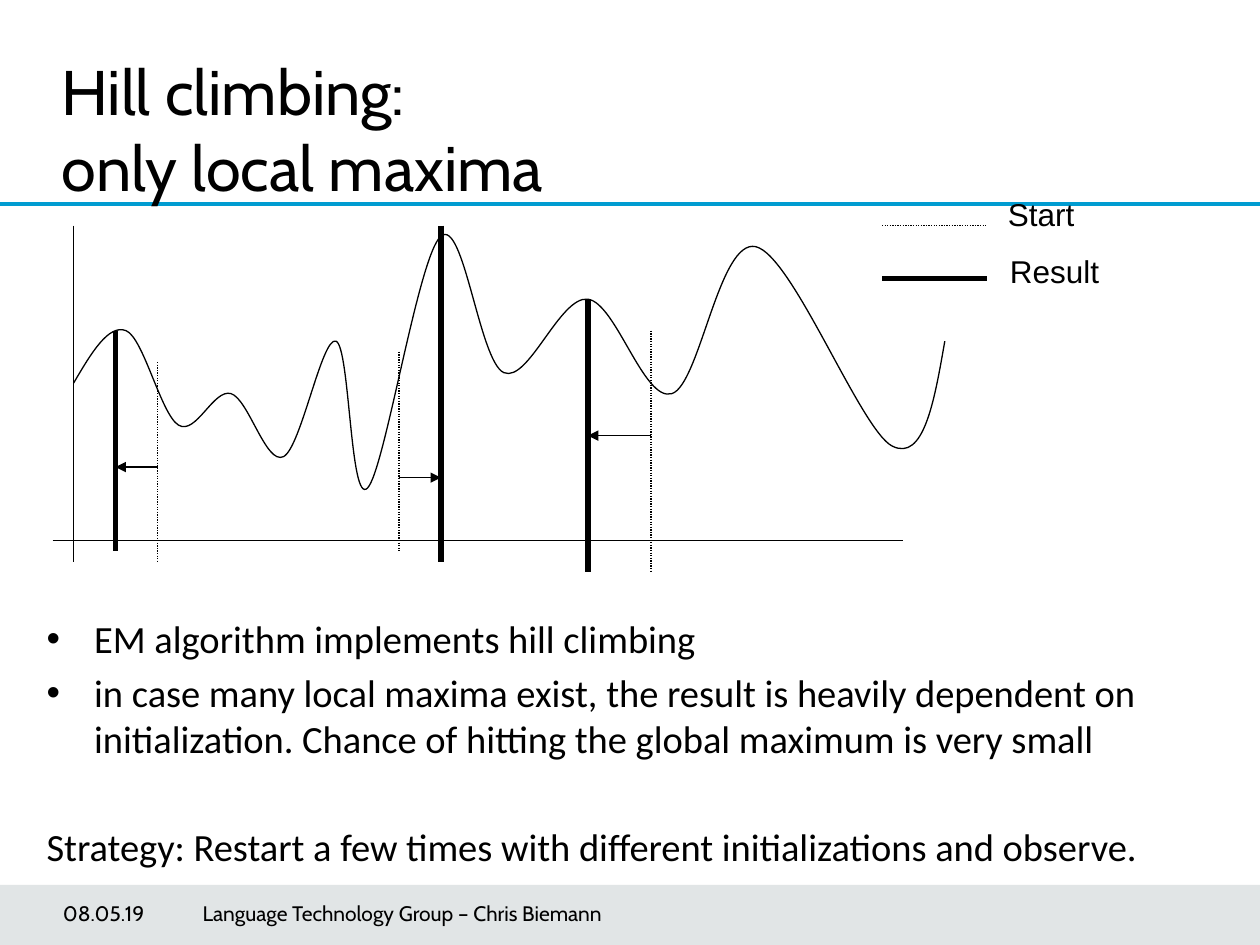
from lxml import etree
from pptx import Presentation
from pptx.dml.color import RGBColor
from pptx.enum.dml import MSO_LINE
from pptx.enum.shapes import MSO_CONNECTOR, MSO_SHAPE
from pptx.enum.text import MSO_ANCHOR
from pptx.oxml.ns import qn
from pptx.util import Cm, Pt

STRAIGHT = MSO_CONNECTOR.STRAIGHT
RECTANGLE = MSO_SHAPE.RECTANGLE
DOTTED = MSO_LINE.ROUND_DOT
TOP = MSO_ANCHOR.TOP
MIDDLE = MSO_ANCHOR.MIDDLE
BLACK = "000000"
THIN = 0.75
THICK = 3
GRID_COLUMNS = 81

CURVE_KNOTS = [
    (2, 15), (7, 10), (12, 19), (17, 16), (22, 22), (27, 11), (30, 25),
    (37, 1), (43, 14), (51, 7), (59, 16), (67, 2), (80, 21), (85, 11),
]
CLIMBS = [
    {"start": (10, 13, 32), "result": (6, 10, 31), "arrow": 23},
    {"start": (57, 10, 33), "result": (51, 7, 33), "arrow": 20},
    {"start": (33, 12, 31), "result": (37, 0, 32), "arrow": 24},
]


def color(value):
    return RGBColor.from_string(value)


def add_text(slide, box, paragraphs, font="Calibri", size=18, anchor=TOP,
             wrap=True, inset=0.25, space_before=(), bullets=0, indent=0.96):
    shape = slide.shapes.add_textbox(*[Cm(value) for value in box])
    frame = shape.text_frame
    frame.word_wrap = wrap
    frame.vertical_anchor = anchor
    frame.margin_left = Cm(inset)
    for index, text in enumerate(paragraphs):
        paragraph = frame.paragraphs[0] if index == 0 else frame.add_paragraph()
        paragraph.text = text
        for run in paragraph.runs:
            run.font.name = font
            run.font.size = Pt(size)
            run.font.color.rgb = color(BLACK)
        if space_before:
            paragraph.space_before = Pt(space_before[index])
        if index < bullets:
            properties = paragraph._p.get_or_add_pPr()
            properties.set("marL", str(Cm(indent)))
            properties.set("indent", str(-Cm(indent)))
            etree.SubElement(properties, qn("a:buFont")).set("typeface", "Arial")
            etree.SubElement(properties, qn("a:buChar")).set("char", "•")
    return shape


def add_line(slide, begin, end, width=THIN, line_color=BLACK, dotted=False, arrow=False):
    points = [Cm(value) for value in (*begin, *end)]
    connector = slide.shapes.add_connector(STRAIGHT, *points)
    connector.line.width = Pt(width)
    connector.line.color.rgb = color(line_color)
    if dotted:
        connector.line.dash_style = DOTTED
    if arrow:
        line = connector.line._get_or_add_ln()
        etree.SubElement(line, qn("a:tailEnd")).set("type", "triangle")
    etree.SubElement(connector._element.spPr, qn("a:effectLst"))
    return connector


def midpoint(first, second):
    return tuple((a + b) / 2 for a, b in zip(first, second))


def curve_points(knots):
    slopes = [tuple((b - a) / 6 for a, b in zip(before, after))
              for before, after in zip(knots, knots[2:])]
    leaving = [tuple(k + s for k, s in zip(*pair)) for pair in zip(knots[1:], slopes)]
    arriving = [tuple(k - s for k, s in zip(*pair)) for pair in zip(knots[1:], slopes)]
    leaving.insert(0, midpoint(knots[0], arriving[0]))
    arriving.append(midpoint(leaving[-1], knots[-1]))
    segments = zip(leaving, arriving, knots[1:])
    return [knots[0]] + [point for segment in segments for point in segment]


def add_curve(slide, points):
    builder = slide.shapes.build_freeform(*points[0])
    builder.add_line_segments(points[1:], close=False)
    curve = builder.convert_to_shape()
    curve.shadow.inherit = False
    curve.fill.background()
    curve.line.color.rgb = color(BLACK)
    curve.line.width = Pt(THIN)
    lines = list(curve._element.iter(qn("a:lnTo")))
    outline = lines[0].getparent()
    for first in range(0, len(lines), 3):
        bezier = etree.SubElement(outline, qn("a:cubicBezTo"))
        for line in lines[first:first + 3]:
            bezier.append(line[0])
            outline.remove(line)


def add_landscape(slide, left, top, width):
    unit = width / GRID_COLUMNS

    def place(point):
        return left + point[0] * unit, top + point[1] * unit

    def grid_line(begin, end, **style):
        add_line(slide, place(begin), place(end), **style)

    grid_line((2, 0), (2, 32))
    grid_line((0, 30), (GRID_COLUMNS, 30))
    add_curve(slide, [tuple(Cm(value) for value in place(point))
                      for point in curve_points(CURVE_KNOTS)])
    for climb in CLIMBS:
        start_x, start_top, start_bottom = climb["start"]
        result_x, result_top, result_bottom = climb["result"]
        grid_line((start_x, start_top), (start_x, start_bottom), dotted=True)
        grid_line((start_x, climb["arrow"]), (result_x, climb["arrow"]), arrow=True)
        grid_line((result_x, result_top), (result_x, result_bottom), width=THICK)


def add_legend(slide, left, top):
    sample = 2.12
    add_line(slide, (left, top + 0.74), (left + sample, top + 0.74), dotted=True)
    add_line(slide, (left, top + 1.8), (left + sample, top + 1.8), width=THICK)
    add_text(slide, (left + 2.29, top, 2.29, 1.27), ["Start"], font="Arial", wrap=False)
    add_text(slide, (left + 2.33, top + 1.14, 2.34, 1.02), ["Result"], font="Arial", wrap=False)


def add_header(slide, left, top, width, height):
    add_line(slide, (left, top + height), (left + width, top + height),
             width=2, line_color="009CD1")
    add_text(slide, (left + 0.99, top + 0.94, 19.1, 2.34),
             ["Hill climbing: \vonly local maxima"], font="Cabin", size=36)


def add_body(slide, left, top, width, height):
    add_text(slide, (left, top, width, height), [
        "EM algorithm implements hill climbing",
        "in case many local maxima exist, the result is heavily dependent on "
        "initialization. Chance of hitting the global maximum is very small",
        "Strategy: Restart a few times with different initializations and observe.",
    ], size=22, space_before=(4.4, 4.4, 35.5), bullets=2)


def add_footer(slide, left, top, width, height):
    band = slide.shapes.add_shape(RECTANGLE, Cm(left), Cm(top), Cm(width), Cm(height))
    band.shadow.inherit = False
    band.fill.solid()
    band.fill.fore_color.rgb = color("E1E5E6")
    band.line.fill.background()
    style = {"font": "Cabin", "size": 12, "anchor": MIDDLE, "inset": 0}
    add_text(slide, (left + 1.27, top + 0.06, 2.51, 1.02), ["08.05.19"], **style)
    add_text(slide, (left + 3.99, top + 0.06, 12.57, 1.02),
             [" Language Technology Group – Chris Biemann"], **style)


def main():
    presentation = Presentation()
    presentation.slide_width = Cm(25.4)
    presentation.slide_height = Cm(19.05)
    slide = presentation.slides.add_slide(presentation.slide_layouts[6])
    add_footer(slide, 0, 17.84, 25.4, 1.21)
    add_header(slide, 0, 0, 25.4, 4.11)
    add_body(slide, 0.69, 12.27, 24, 5.46)
    add_landscape(slide, 1.06, 4.55, 17.14)
    add_legend(slide, 17.78, 3.81)
    presentation.save("out.pptx")


if __name__ == "__main__":
    main()
